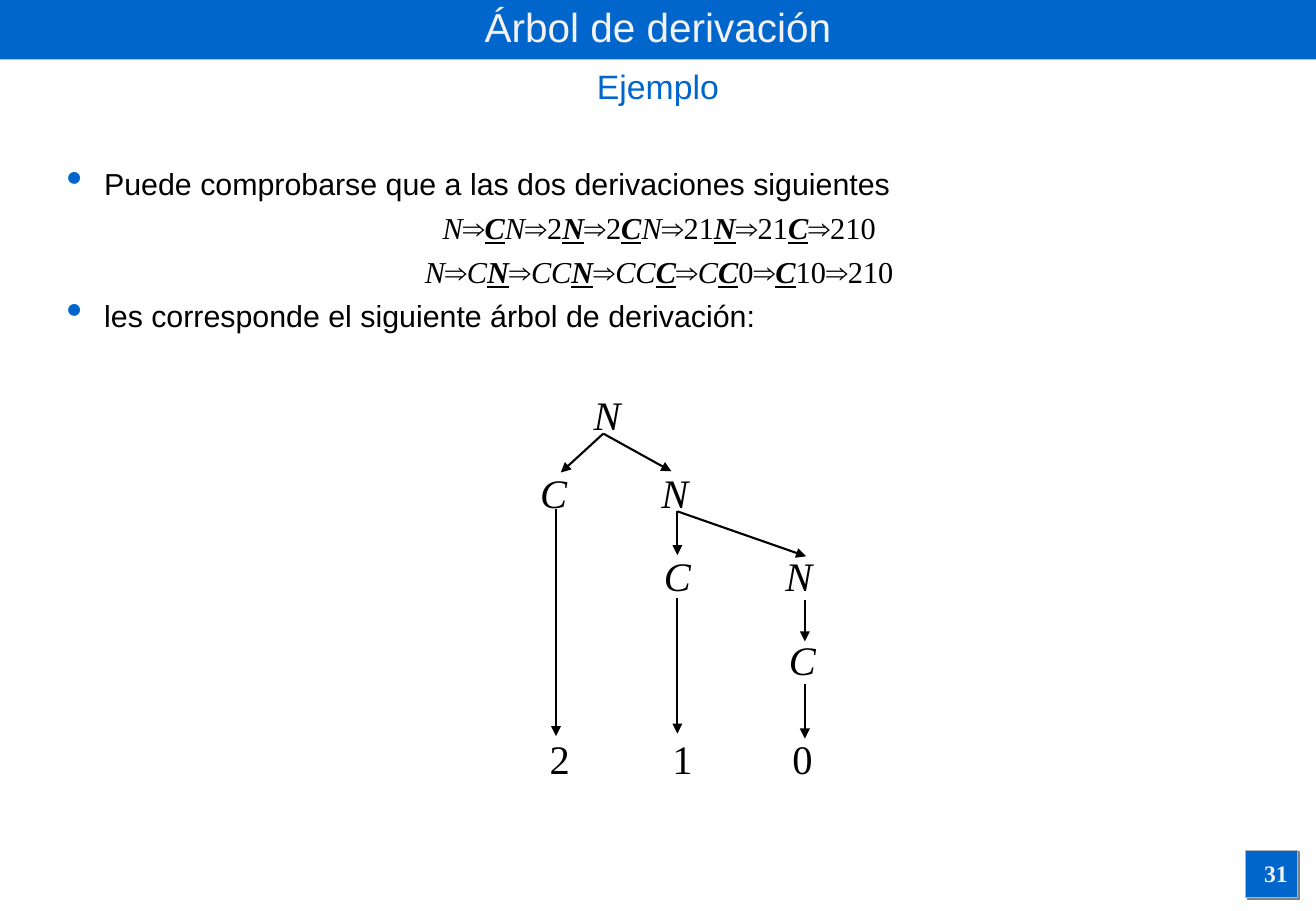
from dataclasses import dataclass
from itertools import groupby

from lxml import etree
from pptx import Presentation
from pptx.dml.color import RGBColor
from pptx.enum.shapes import MSO_CONNECTOR, MSO_SHAPE
from pptx.enum.text import MSO_ANCHOR, MSO_AUTO_SIZE, PP_ALIGN
from pptx.oxml.ns import qn
from pptx.util import Inches, Pt

CENTER, LEFT = PP_ALIGN.CENTER, PP_ALIGN.LEFT
TOP, MIDDLE = MSO_ANCHOR.TOP, MSO_ANCHOR.MIDDLE
FIT_SHAPE = MSO_AUTO_SIZE.SHAPE_TO_FIT_TEXT
STRAIGHT, RECTANGLE = MSO_CONNECTOR.STRAIGHT, MSO_SHAPE.RECTANGLE


@dataclass(frozen=True)
class Theme:
    sans: str = "Arial"
    serif: str = "Times New Roman"
    blue: str = "0066CC"
    black: str = "000000"
    pale: str = "F2F2F2"
    border: str = "B2B2B2"
    shade: str = "808080"
    title: int = 24
    subtitle: int = 20
    body: int = 18
    node: int = 24
    number: int = 14


def rgb(color):
    return RGBColor.from_string(color)


def assign(target, values):
    for name, value in values.items():
        setattr(target, name, value)


def add_xml(parent, tag, **attributes):
    return etree.SubElement(parent, qn(tag), attributes)


class DerivationSlide:
    def __init__(self, slide, theme):
        self.shapes = slide.shapes
        self.theme = theme

    def panel(self, left, top, width, height, border=None):
        panel = self.shapes.add_shape(RECTANGLE, *map(Inches, (left, top, width, height)))
        panel.shadow.inherit = False
        panel.fill.solid()
        panel.fill.fore_color.rgb = rgb(self.theme.blue)
        if border:
            panel.line.color.rgb = rgb(border)
            panel.line.width = Pt(0.75)
        else:
            panel.line.fill.background()
        return panel

    def raised_panel(self, left, top, width, height):
        panel = self.panel(left, top, width, height, self.theme.border)
        effects = panel._element.spPr.find(qn("a:effectLst"))
        shadow = add_xml(effects, "a:outerShdw", dist=str(Pt(1.4)), dir="2700000")
        add_xml(shadow, "a:srgbClr", val=self.theme.shade)

    def frame(self, left, top, width, height, **frame_format):
        box = self.shapes.add_textbox(*map(Inches, (left, top, width, height)))
        assign(box.text_frame, {"word_wrap": True, **frame_format})
        return box.text_frame

    def run(self, paragraph, text, color, **font_format):
        run = paragraph.add_run()
        run.text = text
        assign(run.font, font_format)
        run.font.color.rgb = rgb(color)

    def label(self, place, text, size, color, font, frame_format=None, **font_format):
        paragraph = self.frame(*place, **(frame_format or {})).paragraphs[0]
        paragraph.alignment = CENTER
        self.run(paragraph, text, color, size=Pt(size), name=font, **font_format)

    def node(self, symbol, center, top):
        width = 0.42 if symbol.isalpha() else 0.36
        self.label((center - width / 2, top, width, 0.5), symbol, self.theme.node,
                   self.theme.black, self.theme.serif,
                   {"word_wrap": False, "auto_size": FIT_SHAPE}, italic=symbol.isalpha())

    def arrow(self, start, end):
        arrow = self.shapes.add_connector(STRAIGHT, *map(Inches, start + end))
        arrow.line.color.rgb = rgb(self.theme.black)
        arrow.line.width = Pt(1.25)
        add_xml(arrow.line._get_or_add_ln(), "a:tailEnd", type="triangle")
        add_xml(arrow._element.spPr, "a:effectLst")

    def bullet(self, paragraph, text):
        properties = paragraph._p.get_or_add_pPr()
        properties.set("marL", str(Inches(0.31)))
        properties.set("indent", str(Inches(-0.31)))
        color = add_xml(properties, "a:buClr")
        add_xml(color, "a:srgbClr", val=self.theme.blue)
        add_xml(properties, "a:buSzPct", val="150000")
        add_xml(properties, "a:buChar", char="•")
        paragraph.alignment = LEFT
        self.run(paragraph, text, self.theme.black, name=self.theme.sans, size=Pt(self.theme.body))

    def derivation(self, paragraph, steps):
        paragraph.alignment = CENTER
        properties = paragraph._p.get_or_add_pPr()
        properties.set("marL", str(Inches(0.31)))
        properties.set("indent", str(Inches(-0.31)))
        for index, part in enumerate(steps.split("*")):
            expanded = index % 2 == 1
            for (arrow, variable), symbols in groupby(part, lambda s: (s == "⇒", s.isalpha())):
                self.run(paragraph, "".join(symbols), self.theme.black,
                         name=self.theme.sans if arrow else self.theme.serif,
                         size=Pt(self.theme.body), italic=variable,
                         bold=expanded, underline=expanded)

    def body(self, left, top, width, height, lines):
        frame = self.frame(left, top, width, height, vertical_anchor=TOP)
        for index, (write, text) in enumerate(lines):
            paragraph = frame.add_paragraph() if index else frame.paragraphs[0]
            write(paragraph, text)
            paragraph.space_before = Pt(4.5 if index else 0)


NODES = [
    ("N", 5.0, 3.16),
    ("C", 4.56, 3.8), ("N", 5.56, 3.8),
    ("C", 5.58, 4.49), ("N", 6.58, 4.49),
    ("C", 6.61, 5.18),
    ("2", 4.61, 5.99), ("1", 5.62, 5.99), ("0", 6.61, 5.99),
]
BRANCHES = {
    (4.97, 3.57): [(4.62, 3.89), (5.53, 3.88)],
    (5.58, 4.21): [(5.58, 4.57), (6.64, 4.58)],
    (6.63, 4.94): [(6.63, 5.28)],
    (6.63, 5.63): [(6.63, 6.08)],
    (5.58, 4.92): [(5.58, 6.04)],
    (4.58, 4.19): [(4.58, 6.06)],
}


def main():
    deck = Presentation()
    assign(deck, {"slide_width": Inches(10.84), "slide_height": Inches(7.5)})
    theme = Theme()
    page = DerivationSlide(deck.slides.add_slide(deck.slide_layouts[6]), theme)

    page.raised_panel(10.26, 7, 0.43, 0.39)
    page.panel(0, 0, 10.84, 0.49)
    page.label((0, 0, 10.84, 0.44), "Árbol de derivación", theme.title, theme.pale, theme.sans,
               {"vertical_anchor": MIDDLE})
    page.body(0.45, 1.31, 9.96, 1.49, [
        (page.bullet, "Puede comprobarse que a las dos derivaciones siguientes"),
        (page.derivation, "N⇒*C*N⇒2*N*⇒2*C*N⇒21*N*⇒21*C*⇒210"),
        (page.derivation, "N⇒C*N*⇒CC*N*⇒CC*C*⇒C*C*0⇒*C*10⇒210"),
        (page.bullet, "les corresponde el siguiente árbol de derivación:"),
    ])
    page.label((0, 0.49, 10.84, 0.44), "Ejemplo", theme.subtitle, theme.blue, theme.sans)

    for symbol, center, top in NODES:
        page.node(symbol, center, top)
    for start, ends in BRANCHES.items():
        for end in ends:
            page.arrow(start, end)

    page.label((10.24, 7.02, 0.54, 0.35), "31", theme.number, theme.pale, theme.serif, bold=True)
    deck.save("out.pptx")


if __name__ == "__main__":
    main()
